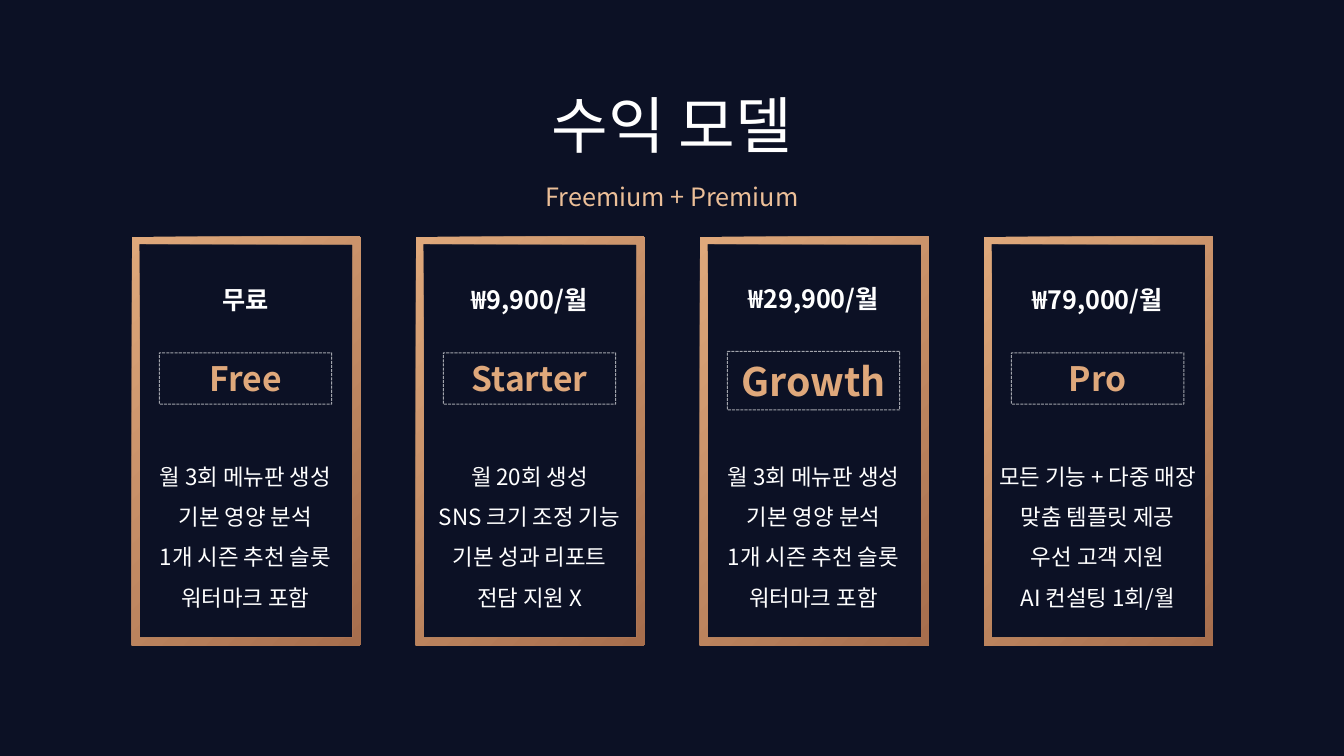
from dataclasses import dataclass

from lxml.etree import SubElement
from pptx import Presentation
from pptx.dml.color import RGBColor
from pptx.enum.dml import MSO_LINE
from pptx.enum.shapes import MSO_SHAPE
from pptx.enum.text import MSO_ANCHOR, MSO_AUTO_SIZE, PP_ALIGN
from pptx.oxml.ns import qn
from pptx.util import Pt

FONT = "Noto Sans CJK KR"
COLORS = {
    "background": "0C1125",
    "text": "FFFFFF",
    "subtitle": "ECBF98",
    "gold": "DFA87B",
    "bronze": "A76E4D",
}

# Card grid, in points
CARD_LEFT, CARD_TOP, CARD_W, CARD_H = 94.2, 169, 163.3, 292
CARD_PITCH = 202.9
BORDER = 5.4


@dataclass
class Plan:
    name: str
    price: str
    features: list[str]
    highlighted: bool = False


BASIC_FEATURES = ["월 3회 메뉴판 생성", "기본 영양 분석", "1개 시즌 추천 슬롯", "워터마크 포함"]
PLANS = [
    Plan("Free", "무료", BASIC_FEATURES),
    Plan("Starter", "₩9,900/월",
         ["월 20회 생성", "SNS 크기 조정 기능", "기본 성과 리포트", "전담 지원 X"]),
    Plan("Growth", "₩29,900/월", BASIC_FEATURES, highlighted=True),
    Plan("Pro", "₩79,000/월",
         ["모든 기능 + 다중 매장", "맞춤 템플릿 제공", "우선 고객 지원", "AI 컨설팅 1회/월"]),
]


def rgb(name: str) -> RGBColor:
    return RGBColor.from_string(COLORS[name])


def write(sp, lines: list[str], *, size: float, color: str = "text", bold: bool = False,
          spacing: float = 1.0, anchor=MSO_ANCHOR.TOP) -> None:
    """Fill a shape with centred paragraphs in one format."""
    tf = sp.text_frame
    tf.word_wrap = True
    tf.auto_size = MSO_AUTO_SIZE.SHAPE_TO_FIT_TEXT
    tf.vertical_anchor = anchor
    tf.margin_left = tf.margin_right = tf.margin_top = tf.margin_bottom = Pt(3.6)
    for i, line in enumerate(lines):
        p = tf.paragraphs[0] if i == 0 else tf.add_paragraph()
        p.alignment = PP_ALIGN.CENTER
        p.line_spacing = spacing
        r = p.add_run()
        r.text = line
        r.font.name, r.font.size, r.font.bold = FONT, Pt(size), bold
        r.font.color.rgb = rgb(color)
        SubElement(r.font._element, qn("a:ea"), typeface=FONT)


def add_text(slide, lines: list[str], x: float, y: float, w: float, h: float, **fmt) -> None:
    write(slide.shapes.add_textbox(Pt(x), Pt(y), Pt(w), Pt(h)), lines, **fmt)


def add_frame(slide, x: float) -> None:
    sp = slide.shapes.add_shape(MSO_SHAPE.FRAME, Pt(x), Pt(CARD_TOP), Pt(CARD_W), Pt(CARD_H))
    sp.adjustments[0] = BORDER / CARD_W
    sp.shadow.inherit = False
    sp.line.fill.background()
    sp.fill.gradient()
    sp.fill.gradient_angle = 315
    for stop, color in zip(sp.fill.gradient_stops, ("gold", "bronze")):
        stop.color.rgb = rgb(color)


def add_badge(slide, plan: Plan, center: float) -> None:
    y, w, h, size = (251, 123.1, 41.8, 28) if plan.highlighted else (252, 123.1, 36.7, 24)
    sp = slide.shapes.add_shape(MSO_SHAPE.RECTANGLE, Pt(center - w / 2), Pt(y), Pt(w), Pt(h))
    sp.shadow.inherit = False
    sp.fill.background()
    sp.line.color.rgb = rgb("text")
    sp.line.width = Pt(0.75)
    sp.line.dash_style = MSO_LINE.SQUARE_DOT
    # Line opacity
    line_color = sp.line._ln.find(".//" + qn("a:srgbClr"))
    SubElement(line_color, qn("a:alpha"), val="61000")
    write(sp, [plan.name], size=size, color="gold", bold=True, anchor=MSO_ANCHOR.MIDDLE)


def add_card(slide, plan: Plan, x: float) -> None:
    center = x + CARD_W / 2 - 0.5
    add_frame(slide, x)
    price_y = 198.5 if plan.highlighted else 199.5
    add_text(slide, [plan.price], center - 71, price_y, 142, 30, size=18, bold=True)
    add_badge(slide, plan, center)
    add_text(slide, plan.features, center - 86.4, 317.5, 172.8, 118, size=16, spacing=1.5)


def main() -> None:
    prs = Presentation()
    prs.slide_width, prs.slide_height = Pt(960), Pt(540)
    slide = prs.slides.add_slide(prs.slide_layouts[5])
    slide.background.fill.solid()
    slide.background.fill.fore_color.rgb = rgb("background")

    # Heading
    title = slide.shapes.title
    title.left, title.top, title.width, title.height = Pt(199.2), Pt(58.3), Pt(561.6), Pt(63.4)
    write(title, ["수익 모델"], size=44)
    add_text(slide, ["Freemium + Premium"], 199.2, 126, 561.6, 29.5, size=18, color="subtitle")

    # Price plans
    for i, plan in enumerate(PLANS):
        add_card(slide, plan, CARD_LEFT + i * CARD_PITCH)

    prs.save("out.pptx")


if __name__ == "__main__":
    main()
